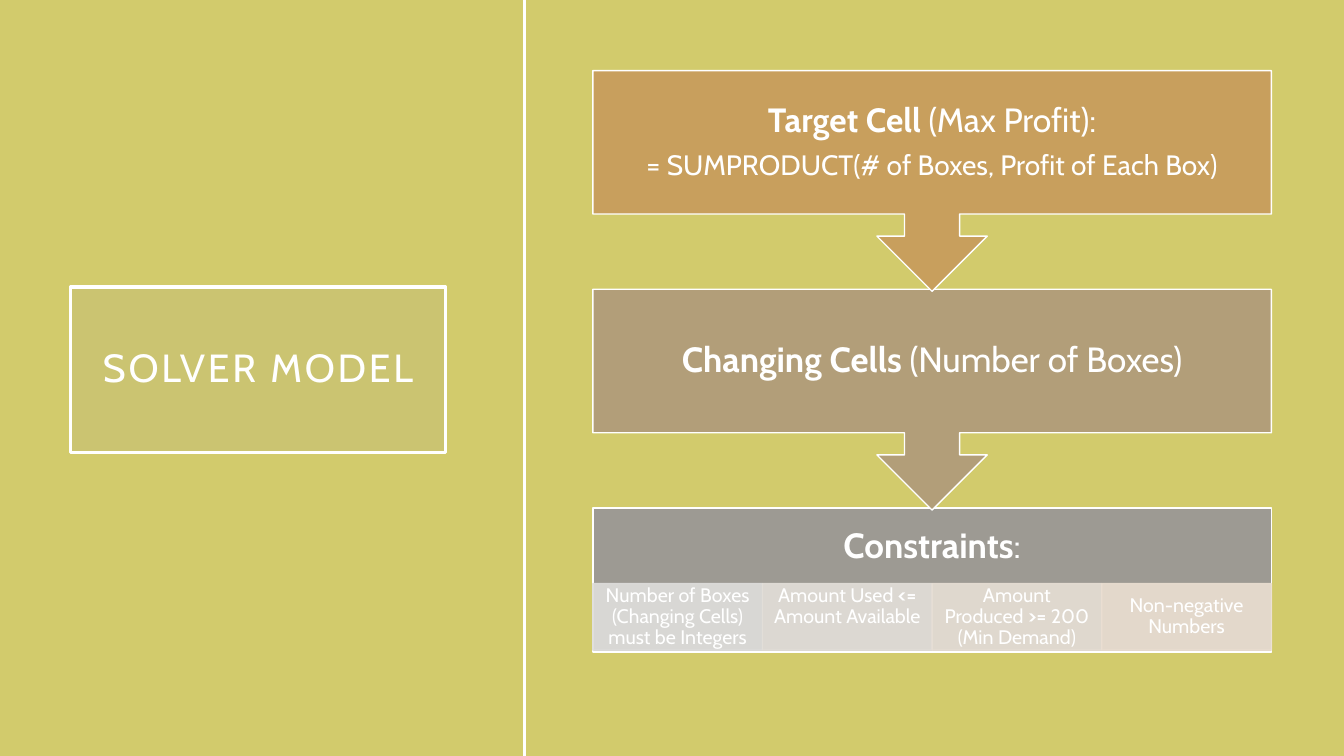
"""Build the solver model slide: a title beside a flow of three steps."""
from dataclasses import dataclass

from lxml import etree
from pptx import Presentation
from pptx import util as u
from pptx.dml.color import RGBColor
from pptx.dml.fill import FillFormat
from pptx.enum import shapes, text
from pptx.oxml import ns
from pptx.shapes.autoshape import Shape
from pptx.slide import Slide

WHITE = "FFFFFF"
LEFT, WIDTH, TOP, STEP = 5.88, 6.73, 0.7, 2.17
BODY, CELL_H = 1.43, 0.66
RECT = shapes.MSO_SHAPE.RECTANGLE
ARROW = shapes.MSO_SHAPE.DOWN_ARROW_CALLOUT
MIDDLE = text.MSO_ANCHOR.MIDDLE


@dataclass
class Line:
    """One paragraph, as runs that are bold or not."""
    runs: list[tuple[str, bool]]
    size: float


@dataclass
class Box:
    """One shape with its text; pads are left, top, right, bottom."""
    at: tuple[float, float, float, float]
    fill: str
    lines: list[Line]
    pads: tuple[float, float, float, float] = (0.19, 0.19, 0.19, 0.19)
    kind: shapes.MSO_SHAPE = RECT
    alpha: int = 100
    edge: str = WHITE
    edge_alpha: int = 100
    weight: float = 1
    anchor: text.MSO_ANCHOR = MIDDLE
    track: int = 0


def paint(fill: FillFormat, tone: str, alpha: int = 100) -> None:
    """Fill with a hex colour at a given opacity."""
    fill.solid()
    fill.fore_color.rgb = RGBColor.from_string(tone)
    if alpha < 100:
        node = fill._xPr.find(".//" + ns.qn("a:srgbClr"))
        etree.SubElement(node, ns.qn("a:alpha"), val=str(alpha * 1000))


def write(shape: Shape, box: Box) -> None:
    """Put the lines of a box into its shape."""
    frame = shape.text_frame
    frame.word_wrap = True
    frame.vertical_anchor = box.anchor
    (frame.margin_left, frame.margin_top,
     frame.margin_right, frame.margin_bottom) = map(u.Inches, box.pads)
    for i, line in enumerate(box.lines):
        para = frame.add_paragraph() if i else frame.paragraphs[0]
        para.alignment = text.PP_ALIGN.CENTER
        para.line_spacing = 0.9
        if line is not box.lines[-1]:
            para.space_after = u.Pt(0.35 * line.size)
        para.font.name = "Cabin"
        para.font.size = u.Pt(line.size)
        para.font.color.rgb = RGBColor.from_string(WHITE)
        for words, bold in line.runs:
            run = para.add_run()
            run.text = words
            run.font.bold = bold
            if box.track:
                run._r.get_or_add_rPr().set("spc", str(box.track))


def draw(slide: Slide, box: Box) -> None:
    """Add one box to the slide."""
    shape = slide.shapes.add_shape(box.kind, *map(u.Inches, box.at))
    shape.shadow.inherit = False
    paint(shape.fill, box.fill, box.alpha)
    paint(shape.line.fill, box.edge, box.edge_alpha)
    shape.line.width = u.Pt(box.weight)
    write(shape, box)


def rule(slide: Slide, x: float, height: float) -> None:
    """Add the upright white divider."""
    line = slide.shapes.add_connector(
        shapes.MSO_CONNECTOR.STRAIGHT,
        u.Inches(x), 0, u.Inches(x), u.Inches(height))
    paint(line.line.fill, WHITE)
    line.line.width = u.Pt(2.25)
    etree.SubElement(line._element.spPr, ns.qn("a:effectLst"))


def limits() -> list[Box]:
    """Lay out the row of constraint cells."""
    cells = [
        ("DFDEDC", MIDDLE,
         [("Number of Boxes (Changing Cells) must be Integers", False)]),
        ("E3DFD9", text.MSO_ANCHOR.TOP,
         [("Amount Used ", False), ("<=", True),
          (" Amount Available", False)]),
        ("E7DFD5", MIDDLE,
         [("Amount Produced ", False), (">=", True),
          (" 200 (Min Demand)", False)]),
        ("EBDFD2", MIDDLE, [("Non-negative Numbers", False)]),
    ]
    wide = WIDTH / len(cells)
    return [
        Box((LEFT + i * wide, 5.79, wide, CELL_H), tone, [Line(runs, 14)],
            pads=(0.11, 0.02, 0.11, 0.02), alpha=90, edge=tone,
            edge_alpha=90, anchor=anchor)
        for i, (tone, anchor, runs) in enumerate(cells)
    ]


def main() -> None:
    """Build and save the slide."""
    deck = Presentation()
    deck.slide_width, deck.slide_height = u.Inches(13.33), u.Inches(7.5)
    slide = deck.slides.add_slide(deck.slide_layouts[6])
    paint(slide.background.fill, "D2CB6C")

    goal = [Line([("Target Cell ", True), ("(Max Profit):", False)], 24),
            Line([("= SUMPRODUCT(# of Boxes, Profit of Each Box)", False)],
                 20)]
    change = [Line([("Changing Cells ", True),
                    ("(Number of Boxes)", False)], 25)]
    bounds = [Line([("Constraints", True), (":", False)], 25)]
    title = [Line([("SOLVER MODEL", False)], 28)]
    boxes = [
        Box((LEFT, TOP + 2 * STEP, WIDTH, BODY), "9D9A93", bounds,
            pads=(0.19, 0.19, 0.19, 0.19 + CELL_H)),
        *limits(),
        Box((LEFT, TOP + STEP, WIDTH, 2.19), "B29E79", change, kind=ARROW),
        Box((LEFT, TOP, WIDTH, 2.19), "C89F5D", goal, kind=ARROW),
        Box((0.7, 2.85, 3.72, 1.64), "A7A08E", title,
            pads=(0.2, 0.2, 0.2, 0.2), alpha=15, weight=2.5, track=200),
    ]
    for box in boxes:
        draw(slide, box)
    rule(slide, 5.2, 7.5)
    deck.save("out.pptx")


if __name__ == "__main__":
    main()
